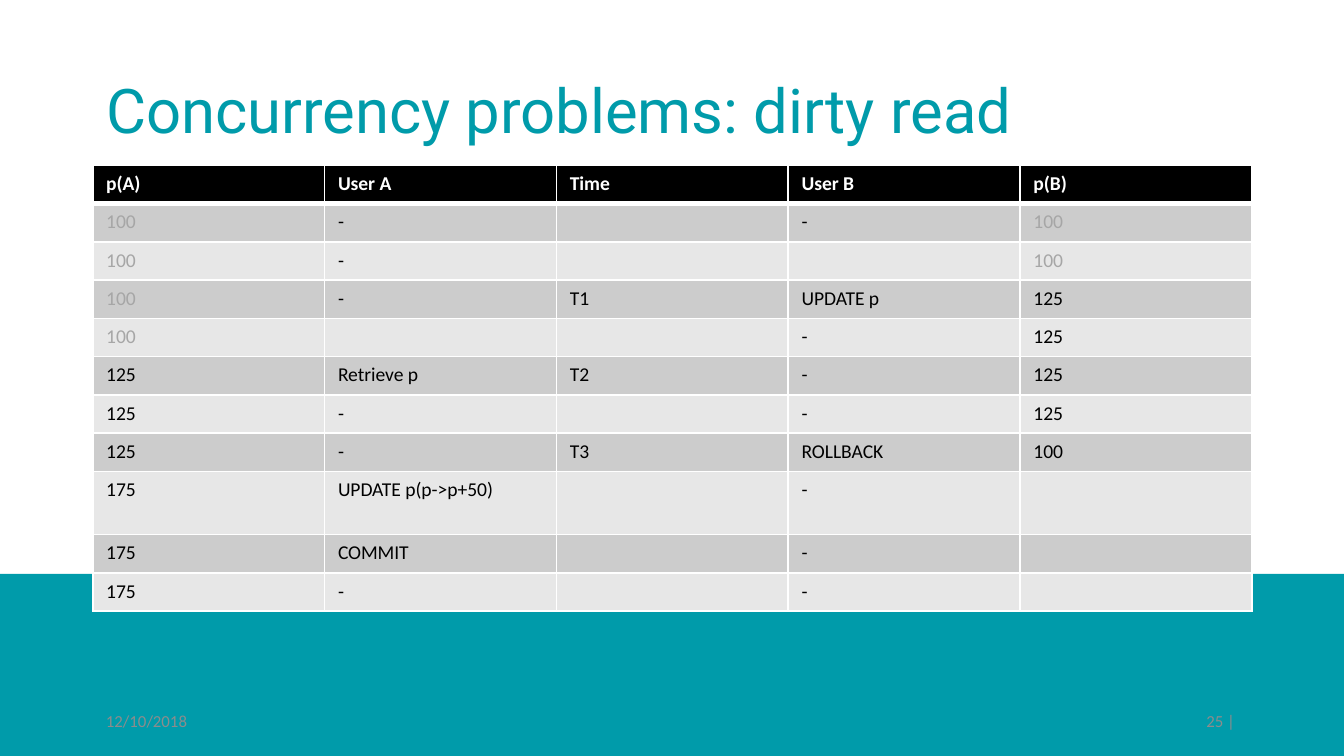
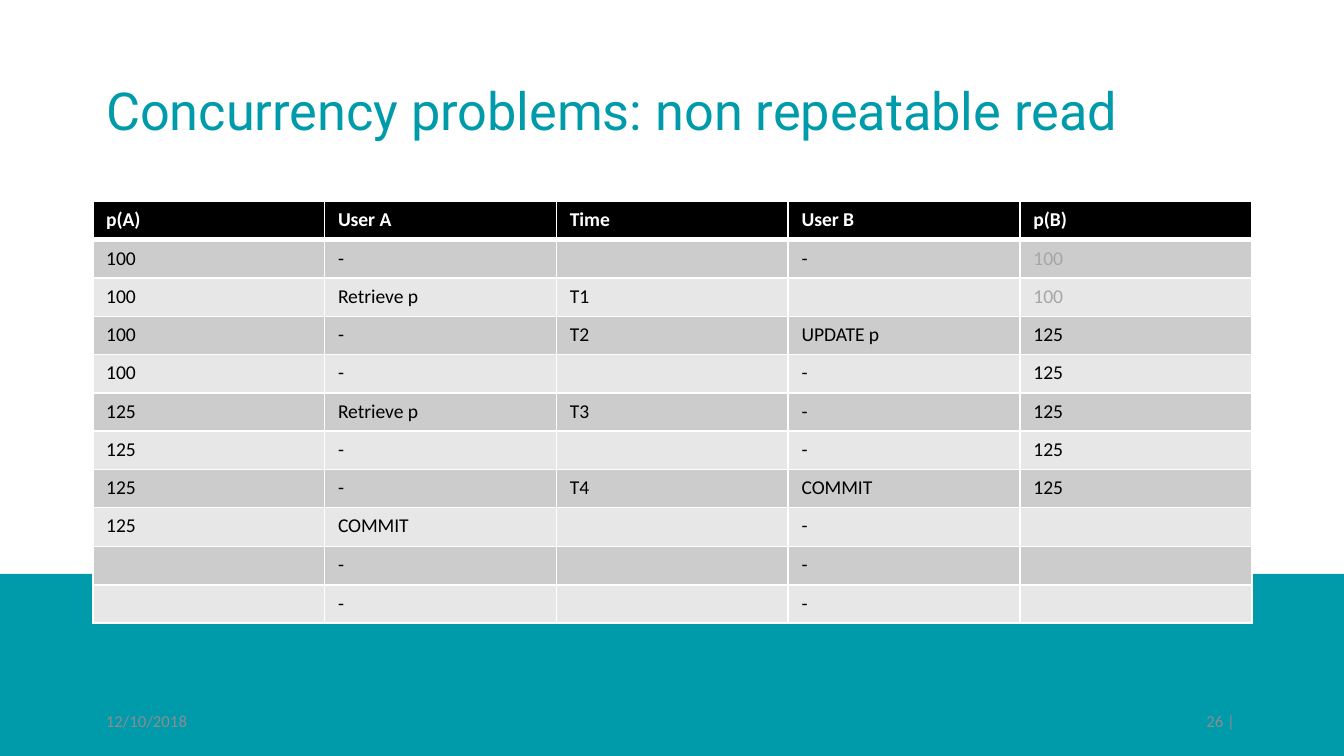
"""Build two slides that trace concurrency problems between two database users."""
from dataclasses import dataclass

from lxml import etree
from pptx import Presentation
from pptx.dml.color import RGBColor
from pptx.enum.shapes import MSO_SHAPE
from pptx.enum.text import MSO_ANCHOR, MSO_AUTO_SIZE, PP_ALIGN
from pptx.oxml.ns import qn
from pptx.util import Emu, Pt

RECTANGLE = MSO_SHAPE.RECTANGLE
MIDDLE = MSO_ANCHOR.MIDDLE
NO_AUTOFIT = MSO_AUTO_SIZE.NONE
LEFT, RIGHT = PP_ALIGN.LEFT, PP_ALIGN.RIGHT

EMU_PER_PX = 4572
SLIDE_W, SLIDE_H = 2000, 1125
MARGIN, CONTENT_W = 138, 1725
TITLE_TOP, TITLE_H = 60, 218
BAND_TOP = 854
FOOTER_TOP, FOOTER_W, FOOTER_H = 1042, 450, 60
ROW_H, TALL_ROW = 57, 8
TITLE_ONLY = 5
DATE = "12/10/2018"
HEADER = ("p(A)", "User A", "Time", "User B", "p(B)")


@dataclass(frozen=True)
class Theme:
    """Colours, fonts and type sizes of the deck."""
    teal: str = "009BAA"
    white: str = "FFFFFF"
    black: str = "000000"
    muted: str = "A6A6A6"
    footer: str = "8C8C8C"
    stripes: tuple[str, str] = ("E7E7E7", "CCCCCC")
    title_font: str = "Roboto"
    body_font: str = "Calibri"
    cell_size: float = 10.5
    footer_size: float = 9
    thin: float = 1
    thick: float = 3


@dataclass(frozen=True)
class Schedule:
    """One slide: its title and the steps of two transactions."""
    title: str
    title_size: int
    page: int
    top: int
    tall_h: int
    muted_a: int
    muted_b: int
    steps: tuple[tuple[str, ...], ...]


THEME = Theme()
SCHEDULES = (
    Schedule("Concurrency problems: dirty read", 33, 25, 246, 94, 4, 2, (
        ("100", "-", "", "-", "100"),
        ("100", "-", "", "", "100"),
        ("100", "-", "T1", "UPDATE p", "125"),
        ("100", "", "", "-", "125"),
        ("125", "Retrieve p", "T2", "-", "125"),
        ("125", "-", "", "-", "125"),
        ("125", "-", "T3", "ROLLBACK", "100"),
        ("175", "UPDATE p(p->p+50)", "", "-", ""),
        ("175", "COMMIT", "", "-", ""),
        ("175", "-", "", "-", ""),
    )),
    Schedule("Concurrency problems: non repeatable read", 28, 26, 300, 58, 0, 2, (
        ("100", "-", "", "-", "100"),
        ("100", "Retrieve p", "T1", "", "100"),
        ("100", "-", "T2", "UPDATE p", "125"),
        ("100", "-", "", "-", "125"),
        ("125", "Retrieve p", "T3", "-", "125"),
        ("125", "-", "", "-", "125"),
        ("125", "-", "T4", "COMMIT", "125"),
        ("125", "COMMIT", "", "-", ""),
        ("", "-", "", "-", ""),
        ("", "-", "", "-", ""),
    )),
)


def px(n: int) -> Emu:
    """Turn px into EMU."""
    return Emu(n * EMU_PER_PX)


def style_runs(p, font: str, size: float, color: str, bold: bool = False) -> None:
    """Format every run of a paragraph."""
    for r in p.runs:
        r.font.name = font
        r.font.size = Pt(size)
        r.font.bold = bold
        r.font.color.rgb = RGBColor.from_string(color)


def add_band(prs, slide) -> None:
    """Draw the bottom band and move it to the back of the master."""
    sp = slide.shapes.add_shape(RECTANGLE, 0, px(BAND_TOP), px(SLIDE_W), px(SLIDE_H - BAND_TOP))
    sp.shadow.inherit = False
    sp.fill.solid()
    sp.fill.fore_color.rgb = RGBColor.from_string(THEME.teal)
    sp.line.fill.background()
    prs.slide_master.shapes.element.insert(2, sp.element)


def set_title(slide, text: str, size: int) -> None:
    """Place and format the title placeholder."""
    sp = slide.shapes.title
    sp.left, sp.top, sp.width, sp.height = map(px, (MARGIN, TITLE_TOP, CONTENT_W, TITLE_H))
    tf = sp.text_frame
    tf.text = text
    tf.word_wrap = True
    tf.auto_size = NO_AUTOFIT
    tf.vertical_anchor = MIDDLE
    p = tf.paragraphs[0]
    p.alignment = LEFT
    p.line_spacing = 0.9
    style_runs(p, THEME.title_font, size, THEME.teal)


def add_footer(slide, text: str, left: int, align: PP_ALIGN) -> None:
    """Add one footer text."""
    sp = slide.shapes.add_textbox(px(left), px(FOOTER_TOP), px(FOOTER_W), px(FOOTER_H))
    tf = sp.text_frame
    tf.text = text
    tf.word_wrap = True
    tf.vertical_anchor = MIDDLE
    p = tf.paragraphs[0]
    p.alignment = align
    style_runs(p, THEME.body_font, THEME.footer_size, THEME.footer)


def set_borders(cell, top: float, bottom: float) -> None:
    """Give a cell white borders, placed ahead of its fill."""
    widths = {"a:lnL": THEME.thin, "a:lnR": THEME.thin, "a:lnT": top, "a:lnB": bottom}
    tc_pr = cell._tc.get_or_add_tcPr()
    for i, (tag, width) in enumerate(widths.items()):
        ln = etree.Element(qn(tag), w=str(Pt(width)))
        fill = etree.SubElement(ln, qn("a:solidFill"))
        etree.SubElement(fill, qn("a:srgbClr"), val=THEME.white)
        tc_pr.insert(i, ln)


def fill_cell(cell, text: str, row: int, muted: bool) -> None:
    """Write and format one table cell."""
    head = row == 0
    cell.fill.solid()
    cell.fill.fore_color.rgb = RGBColor.from_string(THEME.black if head else THEME.stripes[row % 2])
    set_borders(cell, THEME.thick if row == 1 else THEME.thin, THEME.thick if head else THEME.thin)
    p = cell.text_frame.paragraphs[0]
    if text:
        p.text = text
        color = THEME.white if head else THEME.muted if muted else THEME.black
        style_runs(p, THEME.body_font, THEME.cell_size, color, head)
    else:
        etree.SubElement(p._p, qn("a:endParaRPr"), sz=str(int(THEME.cell_size * 100)))


def add_schedule(slide, schedule: Schedule) -> None:
    """Add the table of transaction steps."""
    rows = (HEADER, *schedule.steps)
    heights = [schedule.tall_h if i == TALL_ROW else ROW_H for i in range(len(rows))]
    table = slide.shapes.add_table(len(rows), len(HEADER), px(MARGIN), px(schedule.top),
                                   px(CONTENT_W), px(sum(heights))).table
    table.horz_banding = False
    muted_rows = {0: schedule.muted_a, len(HEADER) - 1: schedule.muted_b}
    for i, (texts, height) in enumerate(zip(rows, heights)):
        table.rows[i].height = px(height)
        for j, text in enumerate(texts):
            fill_cell(table.cell(i, j), text, i, i <= muted_rows.get(j, 0))


def main() -> None:
    """Build and save the deck."""
    prs = Presentation()
    prs.slide_width, prs.slide_height = px(SLIDE_W), px(SLIDE_H)
    for schedule in SCHEDULES:
        slide = prs.slides.add_slide(prs.slide_layouts[TITLE_ONLY])
        set_title(slide, schedule.title, schedule.title_size)
        add_schedule(slide, schedule)
        add_footer(slide, DATE, MARGIN, LEFT)
        add_footer(slide, f"{schedule.page} | ", MARGIN + CONTENT_W - FOOTER_W, RIGHT)
    add_band(prs, slide)
    prs.save("out.pptx")


if __name__ == "__main__":
    main()
